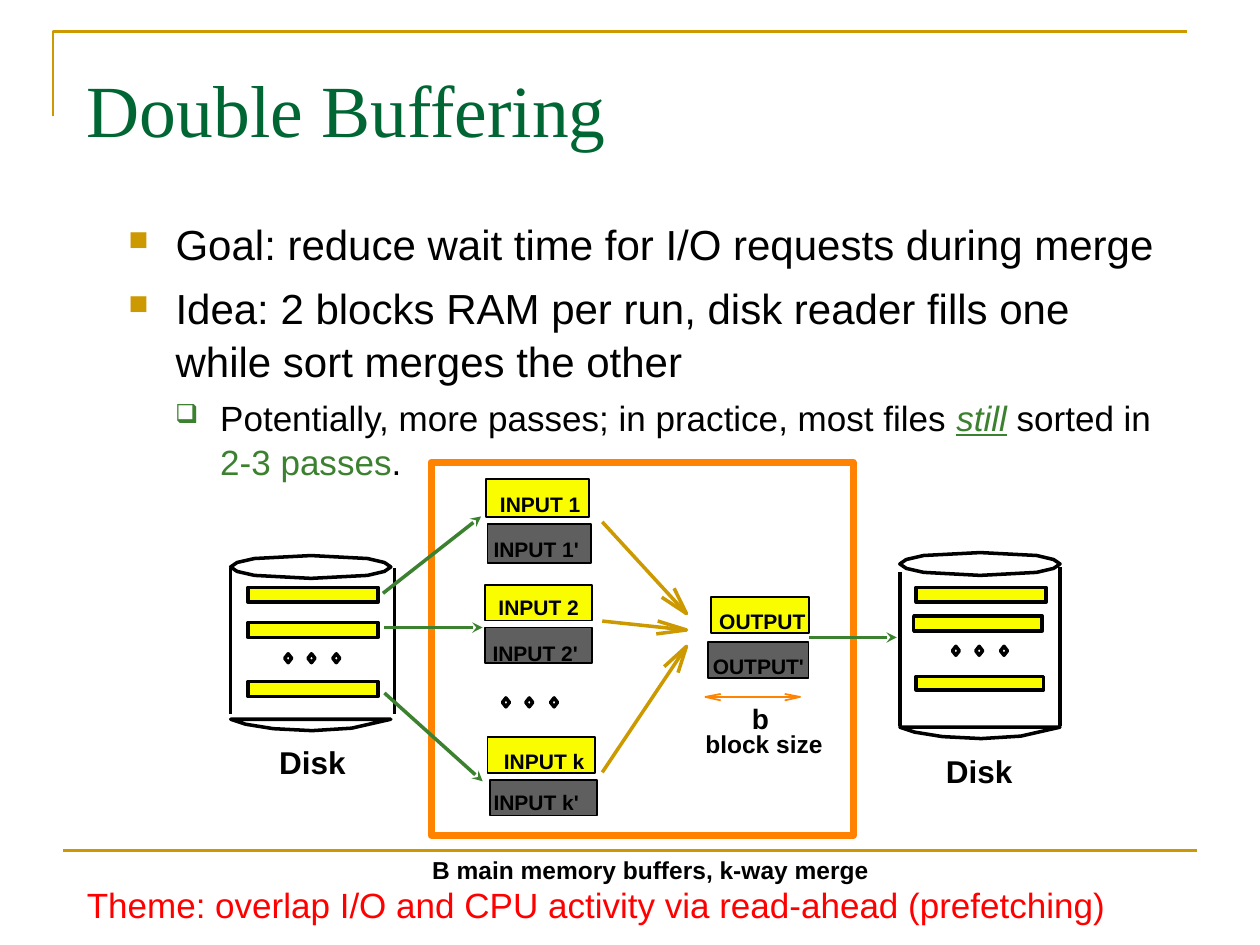
from dataclasses import dataclass
from lxml.etree import SubElement
from pptx import Presentation
from pptx.dml.color import RGBColor
from pptx.enum.shapes import MSO_CONNECTOR, MSO_SHAPE
from pptx.enum.text import MSO_ANCHOR
from pptx.oxml.ns import qn
from pptx.slide import Slide
from pptx.util import Cm, Pt

GOLD, GREEN, ORANGE, BLACK = "CC9900", "3B812F", "FF8200", "000000"
YELLOW, GRAY = "FAFD00", "5F5F5F"


def rgb(code):
    return RGBColor.from_string(code)


@dataclass
class Diagram:
    slide: Slide
    font: str = "Arial"

    def paint(self, shape, fill, line, weight):
        shape.shadow.inherit = False
        if fill:
            shape.fill.solid()
            shape.fill.fore_color.rgb = rgb(fill)
        else:
            shape.fill.background()
        shape.line.color.rgb = rgb(line)
        shape.line.width = Pt(weight)

    def shape(self, kind, left, top, width, height, fill=None, line=BLACK, weight=2):
        shape = self.slide.shapes.add_shape(kind, Cm(left), Cm(top), Cm(width), Cm(height))
        self.paint(shape, fill, line, weight)

    def outline(self, points, color=BLACK, weight=2, close=False):
        start, *rest = [(Cm(x), Cm(y)) for x, y in points]
        builder = self.slide.shapes.build_freeform(*start)
        builder.add_line_segments(rest, close=close)
        self.paint(builder.convert_to_shape(), None, color, weight)

    def line(self, start, end, color=BLACK, weight=2, tail=None):
        connector = self.slide.shapes.add_connector(
            MSO_CONNECTOR.STRAIGHT, *[Cm(v) for v in (*start, *end)])
        connector.line.color.rgb = rgb(color)
        connector.line.width = Pt(weight)
        if tail:
            SubElement(connector.line._get_or_add_ln(), qn("a:tailEnd"), type=tail)
        SubElement(connector._element.spPr, qn("a:effectLst"))

    def barbed_arrow(self, start, tip, barbs, color=GOLD, weight=2):
        self.line(start, tip, color, weight)
        self.outline([barbs[0], tip, barbs[1]], color, weight)

    def frame(self, left, top, width, height, wrap=False, anchor=MSO_ANCHOR.TOP):
        box = self.slide.shapes.add_textbox(Cm(left), Cm(top), Cm(width), Cm(height))
        box.text_frame.word_wrap = wrap
        box.text_frame.vertical_anchor = anchor
        return box.text_frame

    def run(self, paragraph, text, color=BLACK, **style):
        run = paragraph.add_run()
        run.text = text
        run.font.color.rgb = rgb(color)
        for key, value in {"name": self.font, **style}.items():
            setattr(run.font, key, value)

    def label(self, text, left, top, width, height, size, color=BLACK, bold=True):
        paragraph = self.frame(left, top, width, height).paragraphs[0]
        self.run(paragraph, text, color, size=Pt(size), bold=bold)

    def bullet(self, paragraph, runs, level, mark, color, percent, indent, hanging, size, before):
        values = {"level": level, "space_before": Pt(before), "line_spacing": 1.05}
        for key, value in values.items():
            setattr(paragraph, key, value)
        properties = paragraph._p.get_or_add_pPr()
        properties.set("marL", str(Cm(indent)))
        properties.set("indent", str(-Cm(hanging)))
        SubElement(SubElement(properties, qn("a:buClr")), qn("a:srgbClr"), val=color)
        SubElement(properties, qn("a:buSzPct"), val=str(percent * 1000))
        SubElement(properties, qn("a:buChar"), char=mark)
        for text, style in runs:
            self.run(paragraph, text, size=Pt(size), **style)

    def dots(self, left, top):
        for offset in (0, 0.47, 0.97):
            self.shape(MSO_SHAPE.DIAMOND, left + offset, top, 0.14, 0.18)

    def disk(self, left, lid, base, walls, bars):
        rim = [(0, 0), (0.13, 0.09), (0.48, 0.17), (1.62, 0.23),
               (2.76, 0.17), (3.1, 0.09), (3.23, 0)]
        bottom = [(0, 0), (0.3, 0.1), (0.86, 0.19), (1.64, 0.23), (2.44, 0.18), (3.23, 0)]
        upper = [(left + x, lid - y) for x, y in rim]
        lower = [(left + x, lid + y) for x, y in rim[-2:0:-1]]
        self.outline(upper + lower, close=True)
        self.outline([(left + x, base + y) for x, y in bottom], close=True)
        for x, top, end in walls:
            self.line((x, top), (x, end))
        for bar in bars:
            self.shape(MSO_SHAPE.RECTANGLE, *bar, YELLOW)

    def buffer(self, text, fill, box, text_box):
        self.shape(MSO_SHAPE.RECTANGLE, *box, fill, BLACK, 1)
        self.label(text, *text_box, 0.76, 12)


def main():
    deck = Presentation()
    deck.slide_width, deck.slide_height = Cm(25.4), Cm(19.05)
    diagram = Diagram(deck.slides.add_slide(deck.slide_layouts[6]))

    diagram.outline([(1.07, 2.34), (1.07, 0.64), (23.93, 0.64)], GOLD, 1.5)
    diagram.line((1.27, 17.15), (24.13, 17.15), GOLD, 1.5)
    title = diagram.frame(1.5, 0.9, 22.4, 2.54, True, MSO_ANCHOR.MIDDLE).paragraphs[0]
    diagram.run(title, "Double Buffering", "006633", name="Times New Roman", size=Pt(42))

    main_point = (0, "■", GOLD, 65, 0.95, 0.95, 24, 6)
    detail = (1, "❑", GREEN, 75, 1.85, 0.91, 20, 5)
    points = [
        ([("Goal: reduce wait time for I/O requests during merge", {})], main_point),
        ([("Idea: 2 blocks RAM per run, disk reader fills one while sort merges the other", {})],
         main_point),
        ([("Potentially, more passes; in practice, most files ", {}),
          ("still", {"color": GREEN, "italic": True, "underline": True}),
          (" sorted in ", {}), ("2-3 passes", {"color": GREEN}), (".", {})], detail),
    ]
    body = diagram.frame(2.34, 4.24, 21.59, 11.33, True)
    for index, (runs, style) in enumerate(points):
        paragraph = body.add_paragraph() if index else body.paragraphs[0]
        diagram.bullet(paragraph, runs, *style)

    buffers = [
        ("OUTPUT", (14.33, 12.04, 1.98, 0.72), (14.25, 12.14, 2.24)),
        ("OUTPUT'", (14.27, 12.95, 2.03, 0.72), (14.12, 13.06, 2.34)),
        ("INPUT 1", (9.8, 9.65, 2.08, 0.78), (9.83, 9.78, 2.13)),
        ("INPUT 1'", (9.83, 10.57, 2.08, 0.78), (9.7, 10.69, 2.24)),
        ("INPUT 2", (9.78, 11.79, 2.16, 0.72), (9.8, 11.86, 2.13)),
        ("INPUT 2'", (9.78, 12.65, 2.16, 0.72), (9.68, 12.78, 2.24)),
        ("INPUT k", (9.83, 14.86, 2.16, 0.72), (9.91, 14.96, 2.13)),
        ("INPUT k'", (9.88, 15.72, 2.16, 0.72), (9.7, 15.8, 2.24)),
    ]
    for text, box, text_box in buffers:
        diagram.buffer(text, GRAY if text.endswith("'") else YELLOW, box, text_box)
    diagram.shape(MSO_SHAPE.RECTANGLE, 8.69, 9.32, 8.51, 7.52, None, ORANGE, 4)

    diagram.disk(4.65, 11.43, 14.5, [(4.65, 11.46, 14.4), (7.95, 11.46, 14.4)],
                 [(5, top, 2.62, 0.3) for top in (11.84, 12.55, 13.74)])
    diagram.disk(18.14, 11.37, 14.66, [(18.14, 11.53, 14.63), (21.37, 11.43, 14.63)],
                 [(18.47, 11.84, 2.62, 0.3), (18.42, 12.42, 2.59, 0.3),
                  (18.47, 13.64, 2.57, 0.27)])
    for left, top in [(5.74, 13.18), (10.13, 14.07), (19.2, 13.03)]:
        diagram.dots(left, top)

    merges = [
        ((12.14, 15.57), (13.84, 13.03), [(13.39, 13.44), (13.67, 13.56)]),
        ((12.14, 10.52), (13.84, 12.37), [(13.59, 11.86), (13.34, 12.04)]),
        ((12.14, 12.52), (13.84, 12.7), [(13.26, 12.52), (13.23, 12.78)]),
    ]
    for start, tip, barbs in merges:
        diagram.barbed_arrow(start, tip, barbs)
    block_left, block_right = (14.22, 14.05), (16.13, 14.05)
    diagram.barbed_arrow(block_left, block_right, [(15.82, 13.99), (15.82, 14.12)], ORANGE, 1)
    diagram.outline([(14.53, 13.99), block_left, (14.53, 14.12)], ORANGE, 1)

    transfers = [
        ((7.72, 11.96), (9.7, 10.41)),
        ((7.75, 12.65), (9.73, 12.65)),
        ((7.75, 13.97), (9.73, 15.75)),
        ((16.31, 12.85), (18.08, 12.85)),
    ]
    for start, end in transfers:
        diagram.line(start, end, GREEN, 2, "stealth")

    captions = [
        ("Disk", 5.38, 14.86, 1.85, 1.02, 18),
        ("Disk", 18.82, 15.04, 1.85, 1.02, 18),
        ("block size", 13.97, 14.58, 2.87, 0.84, 14),
        ("b", 14.91, 14.02, 0.84, 0.91, 16),
        ("B main memory buffers, k-way merge", 8.46, 17.12, 9.32, 0.84, 14),
    ]
    for caption in captions:
        diagram.label(*caption)
    diagram.label("Theme: overlap I/O and CPU activity via read-ahead (prefetching)",
                  1.5, 17.68, 21.06, 1.12, 20, "FF0000", False)
    deck.save("out.pptx")


if __name__ == "__main__":
    main()
